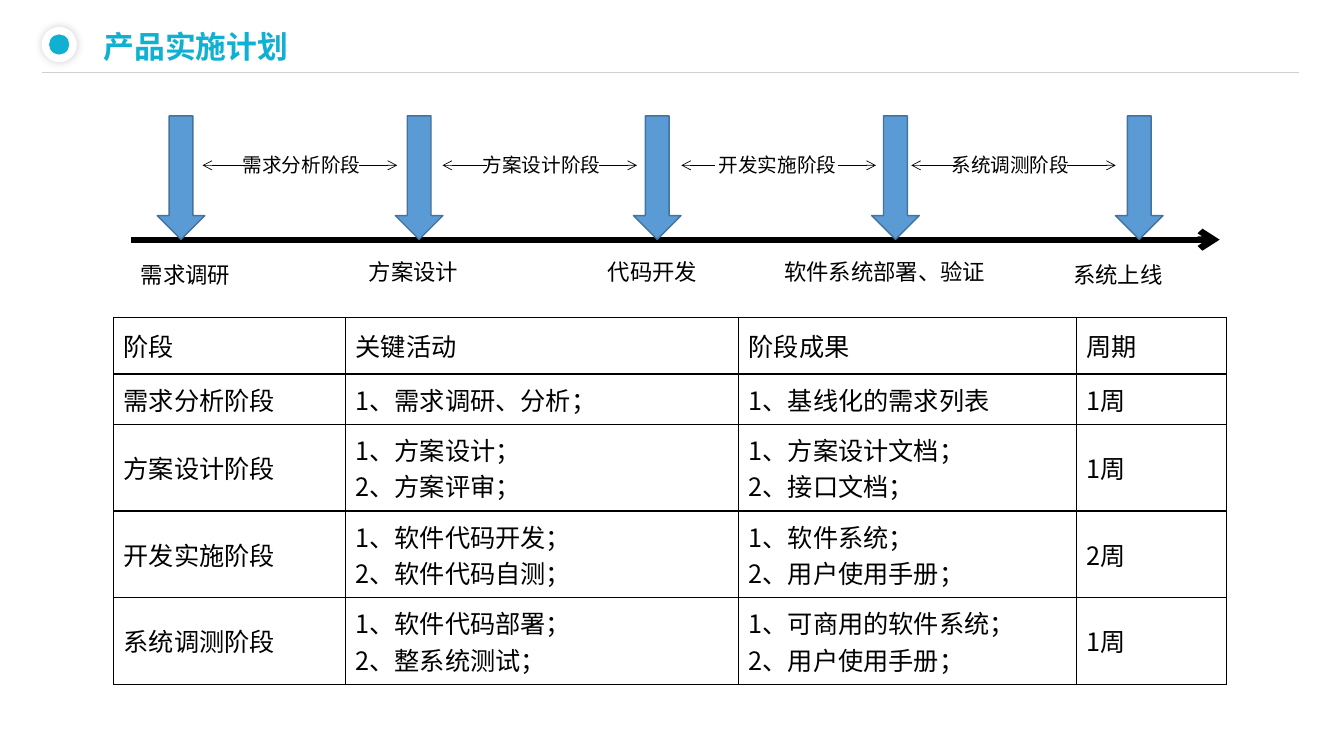
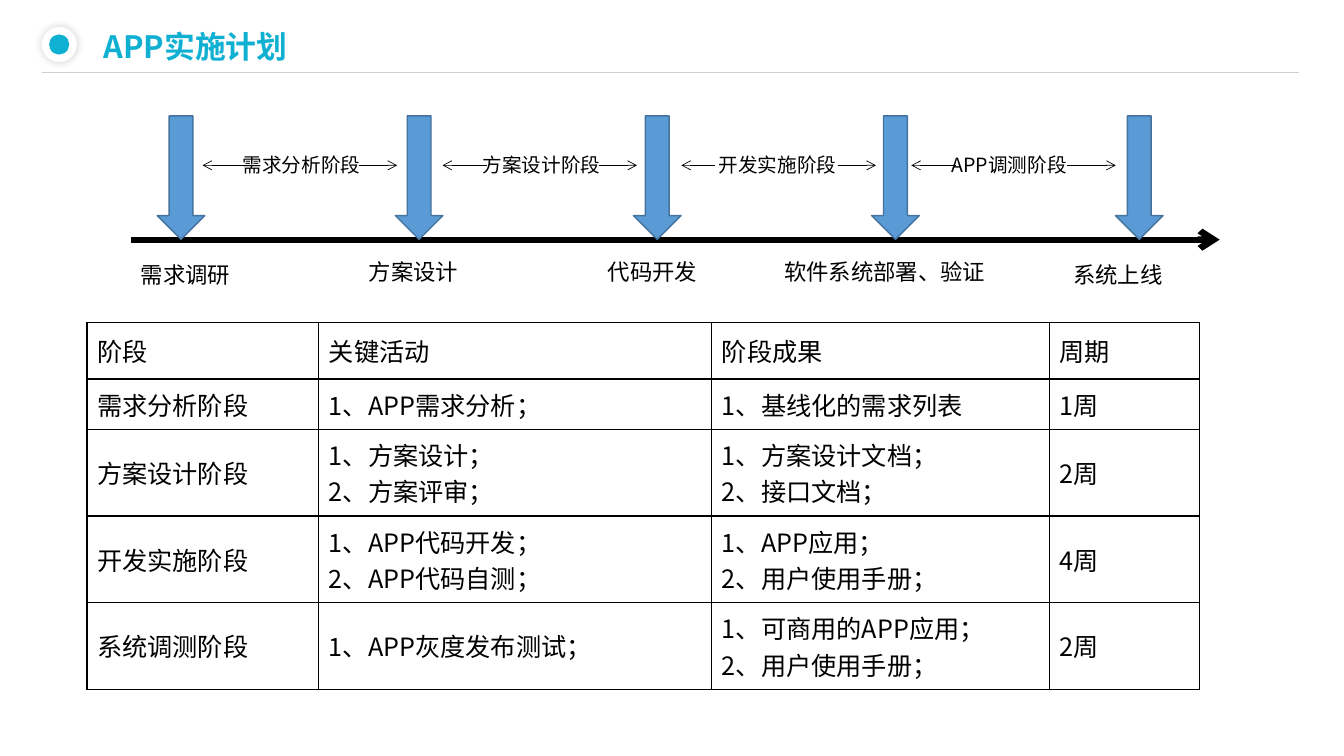
from dataclasses import dataclass

from lxml.etree import SubElement
from pptx import Presentation
from pptx.dml.color import RGBColor
from pptx.enum.shapes import MSO_CONNECTOR, MSO_SHAPE
from pptx.enum.text import MSO_ANCHOR, MSO_AUTO_SIZE
from pptx.oxml.ns import qn
from pptx.util import Pt


@dataclass(frozen=True)
class Theme:
    font: str = "Noto Sans CJK SC"
    accent: str = "0FB0D2"
    ink: str = "000000"
    paper: str = "FFFFFF"
    rule: str = "D0CECE"
    marker: str = "5B9BD5"
    marker_edge: str = "43739E"
    title_size: float = 22
    title_leading: float = 33.8
    table_size: float = 18
    milestone_size: float = 16
    phase_size: float = 14


THEME = Theme()
INSET = 7.2

# Milestone: label, label left, label top, centre of its marker
MILESTONES = [
    ("需求调研", 93.6, 182.9, 129.3),
    ("方案设计", 256.3, 180.7, 299.4),
    ("代码开发", 427, 180.7, 469.5),
    ("软件系统部署、验证", 553, 180.7, 639.6),
    ("系统上线", 759.5, 182.9, 813.8),
]
# Phase: label left, then start and tip of the left and the right arrow
PHASE_SPANS = [
    (166.3, (177.1, 144.7), (256.3, 283.7)),
    (337.7, (347.8, 316.1), (427.7, 455)),
    (506.2, (510.5, 486.7), (598.3, 625.7)),
    (672.5, (682.6, 650.9), (762.5, 797)),
]
HEADER = [["阶段"], ["关键活动"], ["阶段成果"], ["周期"]]
COLUMN_WIDTHS = [165.6, 280.8, 241.2, 107.3]
ROW_HEIGHTS = [40.3, 36, 61.9, 61.9, 61.9]
REQUIREMENT_LIST = ["1、基线化的需求列表"]
DESIGN_STEPS = ["1、方案设计；", "2、方案评审；"]
DESIGN_DOCUMENTS = ["1、方案设计文档；", "2、接口文档；"]
MANUAL = "2、用户使用手册；"

PLANS = [
    {
        "title": "产品实施计划",
        "phases": ["需求分析阶段", "方案设计阶段", "开发实施阶段", "系统调测阶段"],
        "table_at": (81.2, 226.8),
        "rows": [
            [["需求分析阶段"], ["1、需求调研、分析；"], REQUIREMENT_LIST, ["1周"]],
            [["方案设计阶段"], DESIGN_STEPS, DESIGN_DOCUMENTS, ["1周"]],
            [["开发实施阶段"], ["1、软件代码开发；", "2、软件代码自测；"],
             ["1、软件系统；", MANUAL], ["2周"]],
            [["系统调测阶段"], ["1、软件代码部署；", "2、整系统测试；"],
             ["1、可商用的软件系统；", MANUAL], ["1周"]],
        ],
    },
    {
        "title": "APP实施计划",
        "phases": ["需求分析阶段", "方案设计阶段", "开发实施阶段", "APP调测阶段"],
        "table_at": (62.1, 230.4),
        "rows": [
            [["需求分析阶段"], ["1、APP需求分析；"], REQUIREMENT_LIST, ["1周"]],
            [["方案设计阶段"], DESIGN_STEPS, DESIGN_DOCUMENTS, ["2周"]],
            [["开发实施阶段"], ["1、APP代码开发；", "2、APP代码自测；"],
             ["1、APP应用；", MANUAL], ["4周"]],
            [["系统调测阶段"], ["1、APP灰度发布测试；"],
             ["1、可商用的APP应用；", MANUAL], ["2周"]],
        ],
    },
]


def rgb(color):
    return RGBColor.from_string(color)


def format_runs(frame, size, color=THEME.ink, bold=False):
    for paragraph in frame.paragraphs:
        for run in paragraph.runs:
            run.font.size = Pt(size)
            run.font.bold = bold
            run.font.color.rgb = rgb(color)
            run.font.name = THEME.font
            SubElement(run.font._element, qn("a:ea"), typeface=THEME.font)


def add_label(slide, text, left, top, width, height, size, **style):
    frame = slide.shapes.add_textbox(Pt(left), Pt(top), Pt(width), Pt(height)).text_frame
    frame.word_wrap = True
    frame.auto_size = MSO_AUTO_SIZE.SHAPE_TO_FIT_TEXT
    frame.text = text
    format_runs(frame, size, **style)
    return frame


def add_line(slide, start, end, y, color, weight, arrow=False):
    line = slide.shapes.add_connector(MSO_CONNECTOR.STRAIGHT, Pt(start), Pt(y), Pt(end), Pt(y))
    line.line.color.rgb = rgb(color)
    line.line.width = Pt(weight)
    if arrow:
        SubElement(line.line._get_or_add_ln(), qn("a:tailEnd"), type="arrow")
    SubElement(line._element.spPr, qn("a:effectLst"))


def add_solid(shapes, preset, left, top, width, height, fill, edge=None):
    shape = shapes.add_shape(preset, Pt(left), Pt(top), Pt(width), Pt(height))
    shape.shadow.inherit = False
    shape.fill.solid()
    shape.fill.fore_color.rgb = rgb(fill)
    if edge:
        shape.line.color.rgb = rgb(edge)
        shape.line.width = Pt(1)
    else:
        shape.line.fill.background()
    return shape


def add_soft_shadow(shape):
    effects = shape._element.spPr.find(qn("a:effectLst"))
    shadow = SubElement(effects, qn("a:outerShdw"), blurRad=str(Pt(6)), dist="0",
                        dir="5400000", algn="t", rotWithShape="0")
    color = SubElement(shadow, qn("a:srgbClr"), val=THEME.ink)
    SubElement(color, qn("a:alpha"), val="19000")


def add_heading(slide, title):
    badge = slide.shapes.add_group_shape().shapes
    add_soft_shadow(add_solid(badge, MSO_SHAPE.OVAL, 29.7, 19.2, 25.2, 25.2, THEME.paper))
    add_solid(badge, MSO_SHAPE.OVAL, 35.1, 24.6, 14.4, 14.4, THEME.accent)
    frame = add_label(slide, title, 67, 8.6, 746.6, 41, THEME.title_size,
                      color=THEME.accent, bold=True)
    frame.paragraphs[0].line_spacing = Pt(THEME.title_leading)
    add_line(slide, 29.7, 928, 51.7, THEME.rule, 0.5)


def add_timeline(slide, phases):
    add_line(slide, 93.6, 871.2, 171.2, THEME.ink, 4.5, arrow=True)
    marker_width = 34
    for label, left, top, center in MILESTONES:
        add_solid(slide.shapes, MSO_SHAPE.DOWN_ARROW, center - marker_width / 2, 82.8,
                  marker_width, 88.2, THEME.marker, THEME.marker_edge)
        width = len(label) * THEME.milestone_size + 2 * INSET + 4
        add_label(slide, label, left, top, width, 26.6, THEME.milestone_size)
    for label, (left, *arrows) in zip(phases, PHASE_SPANS):
        add_label(slide, label, left, 105.8, 107.3, 24.5, THEME.phase_size)
        for start, tip in arrows:
            add_line(slide, start, tip, 118.1, THEME.ink, 0.5, arrow=True)


def add_cell_borders(cell):
    properties = cell._tc.get_or_add_tcPr()
    for side in ("a:lnL", "a:lnR", "a:lnT", "a:lnB"):
        border = SubElement(properties, qn(side), w=str(Pt(1)))
        fill = SubElement(border, qn("a:solidFill"))
        SubElement(fill, qn("a:srgbClr"), val=THEME.ink)


def add_plan_table(slide, rows, left, top):
    table = slide.shapes.add_table(
        len(rows), len(COLUMN_WIDTHS), Pt(left), Pt(top),
        Pt(sum(COLUMN_WIDTHS)), Pt(sum(ROW_HEIGHTS))).table
    table.first_row = table.horz_banding = False
    for column, width in zip(table.columns, COLUMN_WIDTHS):
        column.width = Pt(width)
    for row, height, contents in zip(table.rows, ROW_HEIGHTS, rows):
        row.height = Pt(height)
        for cell, lines in zip(row.cells, contents):
            cell.text_frame.text = "\n".join(lines)
            cell.vertical_anchor = MSO_ANCHOR.MIDDLE
            format_runs(cell.text_frame, THEME.table_size)
            add_cell_borders(cell)
            cell.fill.background()


def main():
    deck = Presentation()
    deck.slide_width, deck.slide_height = Pt(960), Pt(540)
    for plan in PLANS:
        slide = deck.slides.add_slide(deck.slide_layouts[6])
        add_heading(slide, plan["title"])
        add_timeline(slide, plan["phases"])
        add_plan_table(slide, [HEADER, *plan["rows"]], *plan["table_at"])
    deck.save("out.pptx")


if __name__ == "__main__":
    main()
